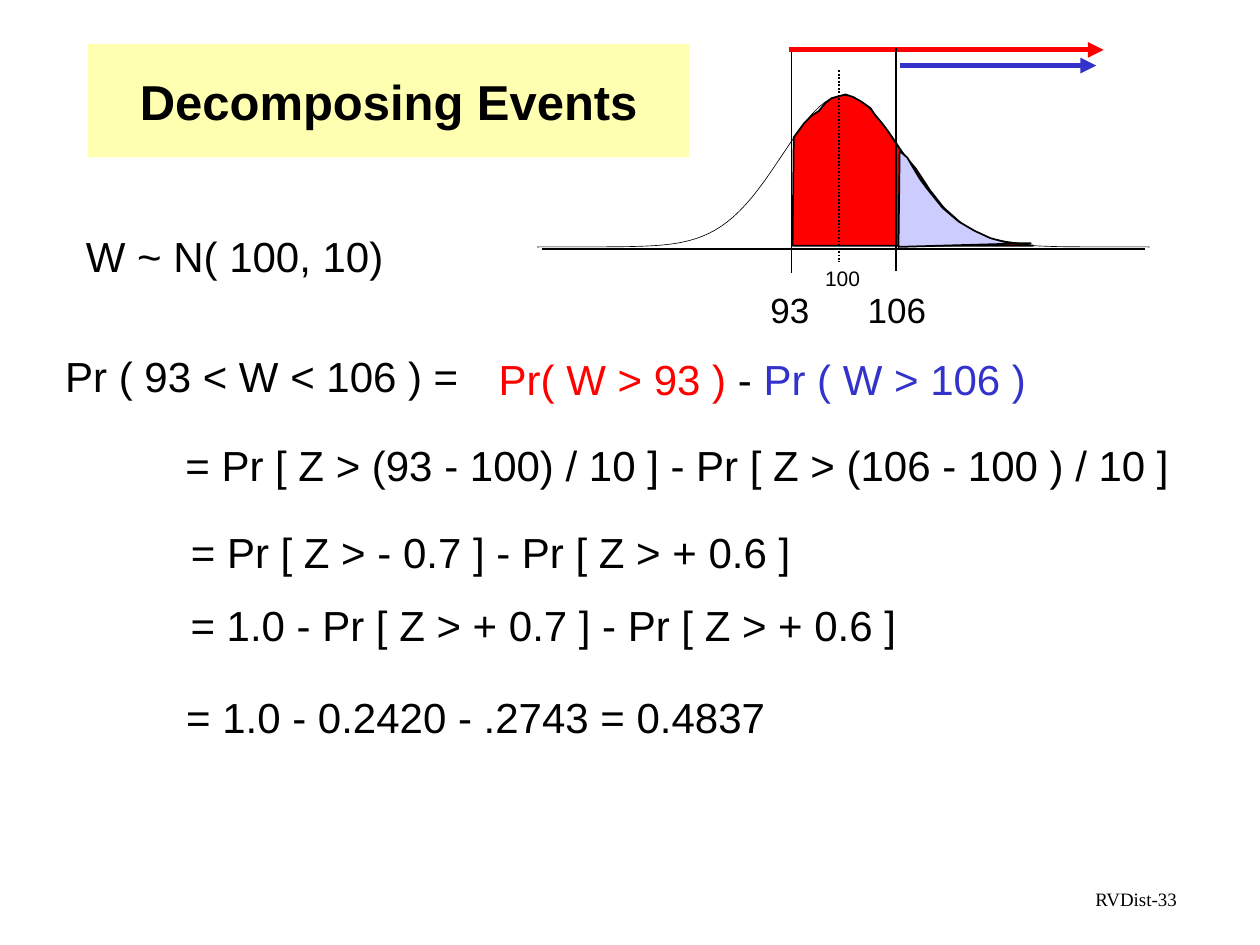
from math import exp

from lxml import etree
from pptx import Presentation
from pptx.dml.color import RGBColor
from pptx.enum.dml import MSO_LINE
from pptx.enum.shapes import MSO_CONNECTOR
from pptx.enum.text import MSO_ANCHOR, MSO_AUTO_SIZE, PP_ALIGN
from pptx.oxml.ns import qn
from pptx.util import Pt

STRAIGHT = MSO_CONNECTOR.STRAIGHT
DOTTED = MSO_LINE.ROUND_DOT
MIDDLE = MSO_ANCHOR.MIDDLE
NO_FIT = MSO_AUTO_SIZE.NONE
LEFT, CENTER, RIGHT = PP_ALIGN.LEFT, PP_ALIGN.CENTER, PP_ALIGN.RIGHT

COLORS = {
    "ink": "000000",
    "red": "FF0000",
    "blue": "3333CC",
    "tail": "CCCCFF",
    "banner": "FFFF66",
}


def color(name):
    return RGBColor.from_string(COLORS[name])


def add_run(paragraph, text, size=24, font="Arial", fill="ink", bold=False):
    run = paragraph.add_run()
    run.text = text
    run.font.size = Pt(size)
    run.font.name = font
    run.font.bold = bold
    run.font.color.rgb = color(fill)


class SlideWriter:
    """Holds the current slide and the shared style of its elements."""

    def __init__(self, slide, line_width=1):
        self.slide = slide
        self.line_width = line_width

    def title(self, text, left, top, width, height):
        title = self.slide.shapes.title
        title.left, title.top = Pt(left), Pt(top)
        title.width, title.height = Pt(width), Pt(height)
        title.fill.solid()
        title.fill.fore_color.rgb = color("banner")
        banner_color = title.fill._xPr.find(".//" + qn("a:srgbClr"))
        etree.SubElement(banner_color, qn("a:alpha"), val="50000")
        frame = title.text_frame
        frame.auto_size = NO_FIT
        frame.vertical_anchor = MIDDLE
        frame.paragraphs[0].alignment = CENTER
        add_run(frame.paragraphs[0], text, size=28, bold=True)

    def text(self, parts, left, top, width, height=36, align=LEFT,
             spacing=None, **style):
        """parts is a list of (text, colour) pairs on one line."""
        box = self.slide.shapes.add_textbox(
            Pt(left), Pt(top), Pt(width), Pt(height))
        frame = box.text_frame
        frame.word_wrap = True
        frame.auto_size = NO_FIT
        paragraph = frame.paragraphs[0]
        paragraph.alignment = align
        paragraph.line_spacing = spacing
        for words, fill in parts:
            add_run(paragraph, words, fill=fill, **style)

    def line(self, x1, y1, x2, y2, stroke="ink", width=None, dash=None,
             arrow=False):
        line = self.slide.shapes.add_connector(
            STRAIGHT, Pt(x1), Pt(y1), Pt(x2), Pt(y2))
        line.line.color.rgb = color(stroke)
        line.line.width = Pt(width or self.line_width)
        if dash:
            line.line.dash_style = dash
        if arrow:
            etree.SubElement(line.line._get_or_add_ln(), qn("a:tailEnd"),
                             type="triangle")
        etree.SubElement(line._element.spPr, qn("a:effectLst"))

    def outline(self, points, fill=None, width=None):
        """A filled outline is closed; one without fill stays open."""
        corners = [(Pt(x), Pt(y)) for x, y in points]
        builder = self.slide.shapes.build_freeform(*corners[0])
        builder.add_line_segments(corners[1:], close=fill is not None)
        shape = builder.convert_to_shape()
        shape.shadow.inherit = False
        if fill:
            shape.fill.solid()
            shape.fill.fore_color.rgb = color(fill)
        else:
            shape.fill.background()
        shape.line.color.rgb = color("ink")
        shape.line.width = Pt(width or self.line_width)


# Bell curve: centre, standard deviation, baseline and peak height
MEAN_X, SIGMA, BASE_Y, PEAK = 482, 35, 141.1, 86.6
STEPS_PER_SIGMA, SIGMAS = 10, 5

ABOVE_93 = [
    (453.6, 78.5), (452.9, 140.4), (590.4, 140.4), (574.6, 138.2),
    (562.3, 136.1), (551.5, 129.6), (539.3, 118.8), (531.4, 108.7),
    (523.4, 96.5), (515.5, 87.1), (508.3, 76.3), (504.7, 71.3),
    (500.4, 66.2), (497.5, 61.9), (492.5, 58.3), (487.4, 55.4),
    (483.1, 54), (475.2, 56.2), (471.6, 59), (468, 63.4),
    (463.7, 66.2), (459.4, 70.6),
]
ABOVE_106 = [
    (514.1, 86.4), (513.4, 141.1), (589, 139), (576.7, 139),
    (565.9, 136.1), (556.6, 131.8), (547.9, 126.7), (538.6, 118.8),
    (529.9, 108), (525.6, 102.2), (521.3, 95), (518.4, 90),
]

# Left, top, width and coloured parts of each formula line
FORMULAS = [
    (42, 128.2, 189, [("W ~ N( 100, 10)", "ink")]),
    (30.2, 196.6, 244, [("Pr ( 93 < W < 106 ) =", "ink")]),
    (277.9, 198.3, 320, [("Pr( W > 93 )", "red"), (" - ", "ink"),
                         ("Pr ( W > 106 )", "blue")]),
    (98.9, 247.7, 582,
     [("= Pr [ Z > (93 - 100) / 10 ] - Pr [ Z > (106 - 100 ) / 10 ]", "ink")]),
    (102, 297.4, 362, [("= Pr [ Z > - 0.7 ] - Pr [ Z > + 0.6 ]", "ink")]),
    (101.8, 339.1, 422,
     [("= 1.0 - Pr [ Z > + 0.7 ] - Pr [ Z > + 0.6 ]", "ink")]),
    (99.3, 391.7, 350, [("= 1.0 - 0.2420 - .2743 = 0.4837", "ink")]),
]


def main():
    deck = Presentation()
    deck.slide_width, deck.slide_height = Pt(720), Pt(540)
    writer = SlideWriter(deck.slides.add_slide(deck.slide_layouts[5]))

    writer.title("Decomposing Events", 50.4, 25.2, 343.4, 64.8)

    # Shaded area under the curve, the curve itself and its axis
    writer.outline(ABOVE_93, fill="red")
    reach = STEPS_PER_SIGMA * SIGMAS
    scores = [step / STEPS_PER_SIGMA for step in range(-reach, reach + 1)]
    writer.outline([(MEAN_X + z * SIGMA, BASE_Y - PEAK * exp(-z * z / 2))
                    for z in scores], width=0.37)
    writer.line(309.6, 142.4, 654.5, 142.4)

    # Mean, bounds and the arrows of the two upper ranges
    writer.line(479.4, 40.3, 479.4, 149.8, dash=DOTTED)
    writer.line(452.3, 28.8, 452.3, 156.2)
    writer.line(450.7, 28.5, 630.7, 28.5, stroke="red", width=3, arrow=True)
    writer.line(512.2, 27.4, 512.2, 154.8)
    writer.line(514.1, 37.5, 626.4, 37.5, stroke="blue", width=3, arrow=True)
    writer.outline(ABOVE_106, fill="tail")

    # Axis labels
    writer.text([("100", "ink")], 464.4, 148.3, 38, 21.6, size=12)
    writer.text([("93", "ink")], 433.2, 161.3, 40, 31.7, size=20)
    writer.text([("106", "ink")], 488.7, 161.3, 52, 31.7, size=20)

    # Derivation
    for left, top, width, parts in FORMULAS:
        writer.text(parts, left, top, width)

    # Page label
    writer.text([("RVDist-33", "ink")], 516.2, 506.2, 163.4, 21.6, align=RIGHT,
                spacing=0.8, size=10.8, font="Times New Roman")

    deck.save("out.pptx")


if __name__ == "__main__":
    main()
